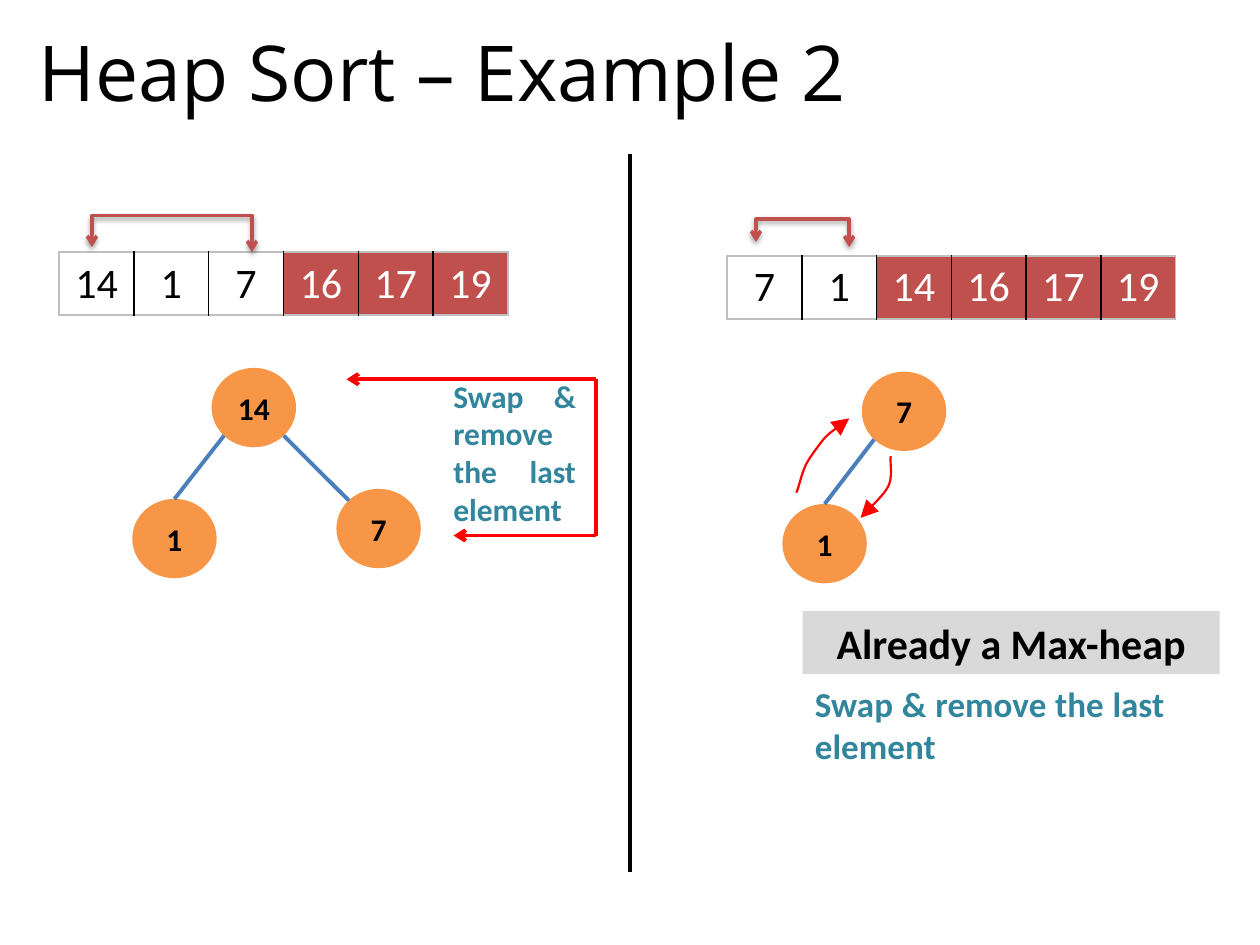
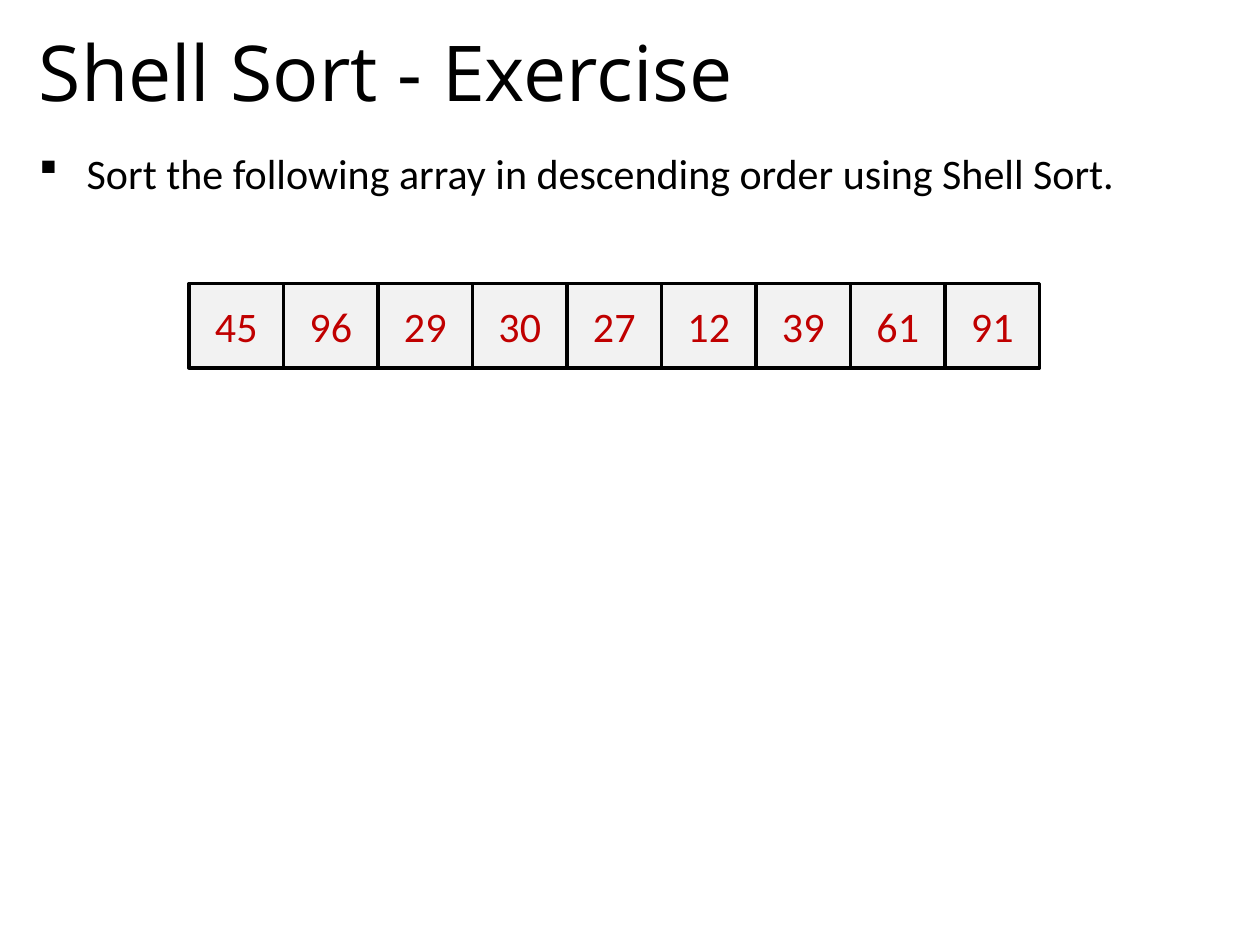
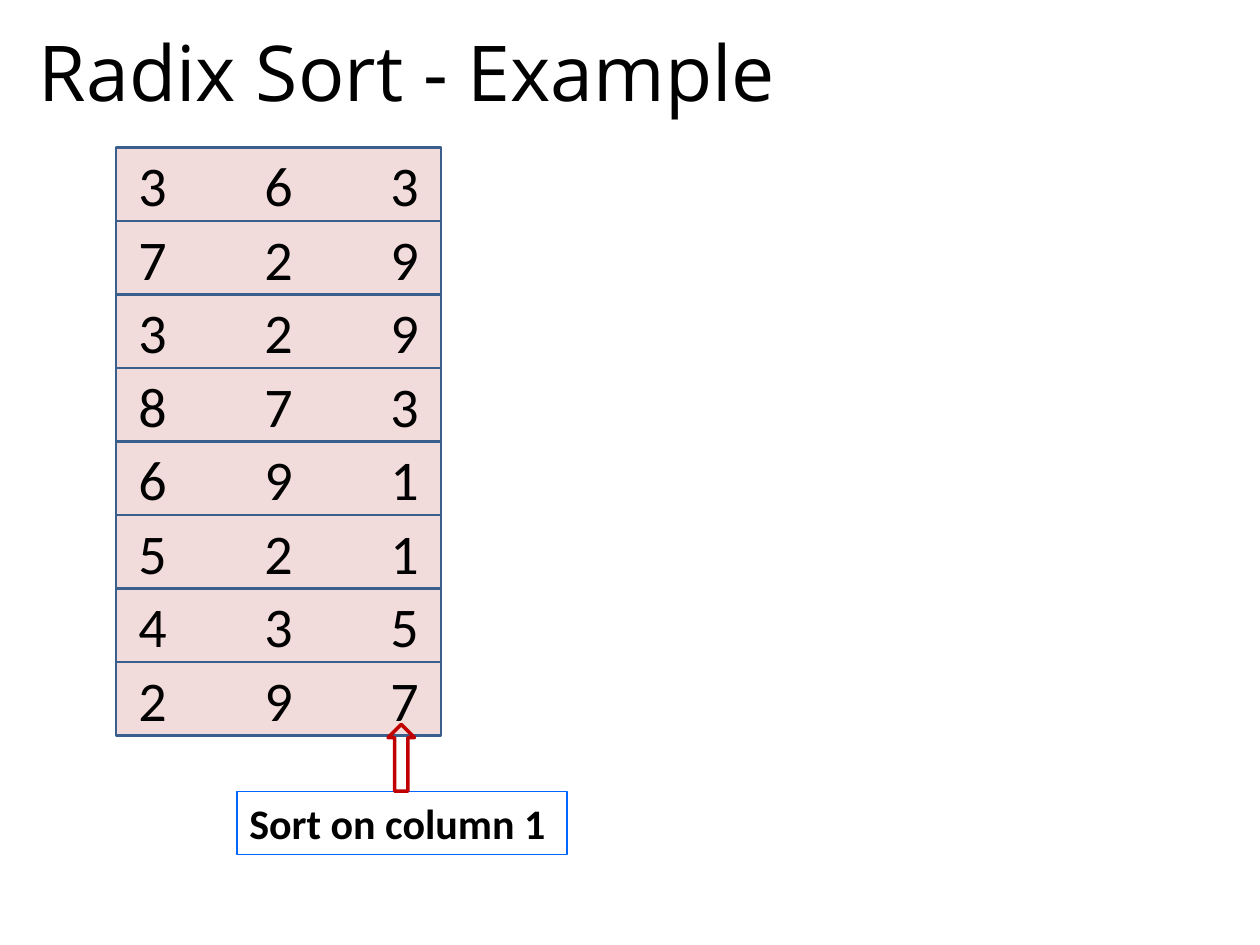
from math import sqrt

from lxml import etree
from pptx import Presentation
from pptx.dml.color import RGBColor
from pptx.enum.shapes import MSO_CONNECTOR, MSO_SHAPE
from pptx.enum.text import MSO_ANCHOR, PP_ALIGN
from pptx.oxml.ns import qn
from pptx.util import Inches, Pt

LINE = MSO_CONNECTOR.STRAIGHT
RECT, OVAL, ARROW = MSO_SHAPE.RECTANGLE, MSO_SHAPE.OVAL, MSO_SHAPE.UP_ARROW
TOP, MID = MSO_ANCHOR.TOP, MSO_ANCHOR.MIDDLE
LEFT, CENTER, JUST = PP_ALIGN.LEFT, PP_ALIGN.CENTER, PP_ALIGN.JUSTIFY

HEX = {
    "black": "000000", "white": "FFFFFF", "node": "F79646", "edge": "4B7EBC",
    "done": "C0504D", "frame": "BFBFBF", "red": "FF0000", "teal": "31859C",
    "band": "D9D9D9", "cell": "F2F2F2", "crimson": "C00000", "pink": "F2DCDB",
    "navy": "3A5F8C", "blue": "0066FF",
}

# Content: heap sort
HEAP = "Heap Sort – Example 2"
SWAP = "Swap & remove the last element"
NOTE = "Already a Max-heap"
# left, top, values, count of values still unsorted
ARRAYS = [
    (0.47, 2.0, [14, 1, 7, 16, 17, 19], 3),
    (5.77, 2.03, [7, 1, 14, 16, 17, 19], 2),
]
SPAN, HIGH = 3.56, 0.41
# root, left child, right child: value, left, top
TREES = [
    [(14, 1.68, 2.92), (1, 1.05, 3.96), (7, 2.67, 3.88)],
    [(7, 6.84, 2.95), (1, 6.21, 4.0)],
]
NODE = (0.67, 0.63)
BRACKETS = [
    [(2.0, 2.0), (2.0, 1.71), (0.73, 1.71), (0.73, 1.96)],
    [(6.74, 1.96), (6.74, 1.74), (6.0, 1.74), (6.0, 1.92)],
]
# start point, then two controls and an end for each curve
SWINGS = [
    [(6.32, 3.91), (6.34, 3.87), (6.36, 3.76), (6.4, 3.68), (6.44, 3.61),
     (6.5, 3.53), (6.55, 3.47), (6.61, 3.41), (6.7, 3.36), (6.74, 3.32)],
    [(7.07, 3.62), (7.06, 3.66), (7.09, 3.78), (7.05, 3.86), (7.01, 3.94),
     (6.87, 4.06), (6.83, 4.11)],
]
# from, to, arrowhead at the end
LOOP = [
    ((4.73, 3.01), (2.75, 3.01), "arrow"),
    ((4.73, 3.01), (4.73, 4.25), None),
    ((4.73, 4.25), (3.6, 4.25), "arrow"),
]

# Content: shell sort and radix sort
SHELL = "Shell Sort - Exercise"
TASK = "Sort the following array in descending order using Shell Sort."
ITEMS = [45, 96, 29, 30, 27, 12, 39, 61, 91]
RADIX = "Radix Sort - Example"
KEYS = [363, 729, 329, 873, 691, 521, 435, 297]
STEP = "Sort on column 1"


def color(name):
    return RGBColor.from_string(HEX[name])


def write(frame, text, size, ink="black", bold=False, align=LEFT, anchor=TOP,
          font="Calibri"):
    frame.word_wrap = True
    frame.vertical_anchor = anchor
    frame.text = str(text)
    para = frame.paragraphs[0]
    para.alignment = align
    face = para.runs[0].font
    face.name, face.size, face.bold = font, Pt(size), bold
    face.color.rgb = color(ink)
    return para


def label(slide, box, text, size, **style):
    frame = slide.shapes.add_textbox(*map(Inches, box)).text_frame
    return write(frame, text, size, **style)


def stroke(item, ink, width, head=None, tail=None, scale="med"):
    item.line.color.rgb = color(ink)
    item.line.width = Pt(width)
    pen = item.element.spPr.find(qn("a:ln"))
    for tag, kind in (("a:headEnd", head), ("a:tailEnd", tail)):
        if kind:
            etree.SubElement(pen, qn(tag), type=kind, w=scale, len=scale)


def block(slide, kind, box, fill=None, ink=None, width=1):
    item = slide.shapes.add_shape(kind, *map(Inches, box))
    item.shadow.inherit = False
    if fill:
        item.fill.solid()
        item.fill.fore_color.rgb = color(fill)
    else:
        item.fill.background()
    if ink:
        stroke(item, ink, width)
    else:
        item.line.fill.background()
    return item


def link(slide, start, end, ink, tail=None):
    item = slide.shapes.add_connector(LINE, *map(Inches, start + end))
    stroke(item, ink, 2.25, tail=tail)
    etree.SubElement(item.element.spPr, qn("a:effectLst"))
    return item


def trace(slide, points, *pen):
    spots = [(Inches(x), Inches(y)) for x, y in points]
    path = slide.shapes.build_freeform(*spots[0])
    path.add_line_segments(spots[1:], close=False)
    item = path.convert_to_shape()
    item.shadow.inherit = False
    item.fill.background()
    stroke(item, *pen)
    return item


def shade(item):
    glow = item.element.spPr.find(qn("a:effectLst"))
    cast = etree.SubElement(glow, qn("a:outerShdw"), blurRad=str(Pt(3.1)),
                            dist=str(Pt(1.6)), dir="5400000", rotWithShape="0")
    tint = etree.SubElement(cast, qn("a:srgbClr"), val=HEX["black"])
    etree.SubElement(tint, qn("a:alpha"), val="38000")


def curve(knots, steps=10):
    """Points along a chain of cubic curves."""
    points = [knots[0]]
    for i in range(0, len(knots) - 1, 3):
        a, b, c, d = knots[i:i + 4]
        for n in range(1, steps + 1):
            t = n / steps
            u = 1 - t
            points.append(tuple(
                u**3 * a[k] + 3 * u * u * t * b[k] + 3 * u * t * t * c[k]
                + t**3 * d[k] for k in (0, 1)))
    return points


def border(cell, sides):
    props = cell._tc.get_or_add_tcPr()
    for i, (side, ink) in enumerate(sides):
        edge = etree.Element(qn("a:ln" + side), w=str(Pt(1)))
        fill = etree.SubElement(edge, qn("a:solidFill"))
        etree.SubElement(fill, qn("a:srgbClr"), val=HEX[ink])
        props.insert(i, edge)


def table(slide, rows, cols, box):
    """Plain table with clear cells."""
    grid = slide.shapes.add_table(rows, cols, *map(Inches, box)).table
    grid.first_row = grid.horz_banding = False
    for cell in grid.iter_cells():
        cell.fill.background()
    return grid


def array(slide, left, top, values, live):
    count = len(values)
    grid = table(slide, 1, count, (left, top, SPAN, HIGH))
    for i, value in enumerate(values):
        cell = grid.cell(0, i)
        if i >= live:
            cell.fill.solid()
            cell.fill.fore_color.rgb = color("done")
        write(cell.text_frame, value, 24, "black" if i < live else "white",
              align=CENTER)
        border(cell, [("L", "black" if i else "frame"),
                      ("R", "black" if i < count - 1 else "frame"),
                      ("T", "frame"), ("B", "frame")])


def rim(left, top, right, down):
    """Diagonal point on a node's outline; right and down are 1 or -1."""
    wide, high = NODE
    return (left + wide / 2 * (1 + right / sqrt(2)),
            top + high / 2 * (1 + down / sqrt(2)))


def tree(slide, nodes):
    discs = []
    for value, left, top in nodes:
        disc = block(slide, OVAL, (left, top) + NODE, "node")
        write(disc.text_frame, value, 18, bold=True, align=CENTER, anchor=MID)
        # Values stay on one line inside the narrow disc
        disc.text_frame.word_wrap = False
        discs.append(disc)
    root, *kids = [node[1:] for node in nodes]
    left, top = kids[0]
    edge = link(slide, rim(*root, -1, 1), (left + NODE[0] / 2, top), "edge")
    edge.end_connect(discs[1], 0)
    for kid in kids[1:]:
        link(slide, rim(*root, 1, 1), rim(*kid, -1, -1), "edge")


def page(deck, title):
    slide = deck.slides.add_slide(deck.slide_layouts[6])
    label(slide, (0.21, 0.12, 9.58, 0.88), title, 44, anchor=MID,
          font="Open Sans")
    return slide


def heap(deck):
    slide = page(deck, HEAP)
    link(slide, (5, 1.22), (5, 6.92), "black")
    for nodes in TREES:
        tree(slide, nodes)
    for row in ARRAYS:
        array(slide, *row)
    for start, end, tail in LOOP:
        link(slide, start, end, "red", tail)
    for points in BRACKETS:
        shade(trace(slide, points, "done", 2, "arrow", "arrow"))
    for knots in SWINGS:
        trace(slide, curve(knots), "red", 1.25, None, "triangle", "lg")
    # Captions
    band = block(slide, RECT, (6.37, 4.85, 3.31, 0.5), "band")
    write(band.text_frame, NOTE, 24, bold=True, align=CENTER)
    for box, size in (((3.5, 2.94, 1.17, 1.31), 18),
                      ((6.37, 5.37, 2.97, 0.77), 20)):
        label(slide, box, SWAP, size, ink="teal", bold=True, align=JUST)


def shell(deck):
    slide = page(deck, SHELL)
    para = label(slide, (0.21, 1.08, 9.58, 5.83), TASK, 24, align=JUST)
    props = para._p.get_or_add_pPr()
    props.set("marL", str(Inches(0.38)))
    props.set("indent", str(Inches(-0.38)))
    # Small square bullet of the symbol font
    etree.SubElement(props, qn("a:buFont"), typeface="Wingdings",
                     pitchFamily="2", charset="2")
    etree.SubElement(props, qn("a:buChar"), char="§")
    para.line_spacing, para.space_after = 1.1, Pt(6)
    wide = 0.75
    for i, value in enumerate(ITEMS):
        cell = block(slide, RECT, (1.5 + i * wide, 2.25, wide, 0.67),
                     "cell", "black", 2)
        write(cell.text_frame, value, 24, "crimson", align=CENTER, anchor=MID)


def radix(deck):
    slide = page(deck, RADIX)
    high = 7 / 12
    for i, key in enumerate(KEYS):
        row = block(slide, RECT, (0.92, 1.17 + i * high, 2.58, high),
                    "pink", "navy", 1.5)
        para = write(row.text_frame, "\t".join(str(key)), 32, align=CENTER,
                     anchor=MID)
        # One digit per inch
        tabs = etree.SubElement(para._p.get_or_add_pPr(), qn("a:tabLst"))
        for stop in (1, 2):
            etree.SubElement(tabs, qn("a:tab"), pos=str(Inches(stop)),
                             algn="l")
    # Column marker
    box = block(slide, RECT, (1.88, 6.28, 2.62, 0.5), None, "blue", 0.75)
    write(box.text_frame, STEP, 24, bold=True)
    block(slide, ARROW, (3.08, 5.75, 0.21, 0.53), None, "crimson", 2)
    # Blank table for the next pass
    table(slide, len(KEYS), 1, (3.92, 1.06, 2.83, 4.69))


def main():
    deck = Presentation()
    deck.slide_width, deck.slide_height = Inches(10), Inches(7.5)
    for build in (heap, shell, radix):
        build(deck)
    deck.save("out.pptx")


if __name__ == "__main__":
    main()
